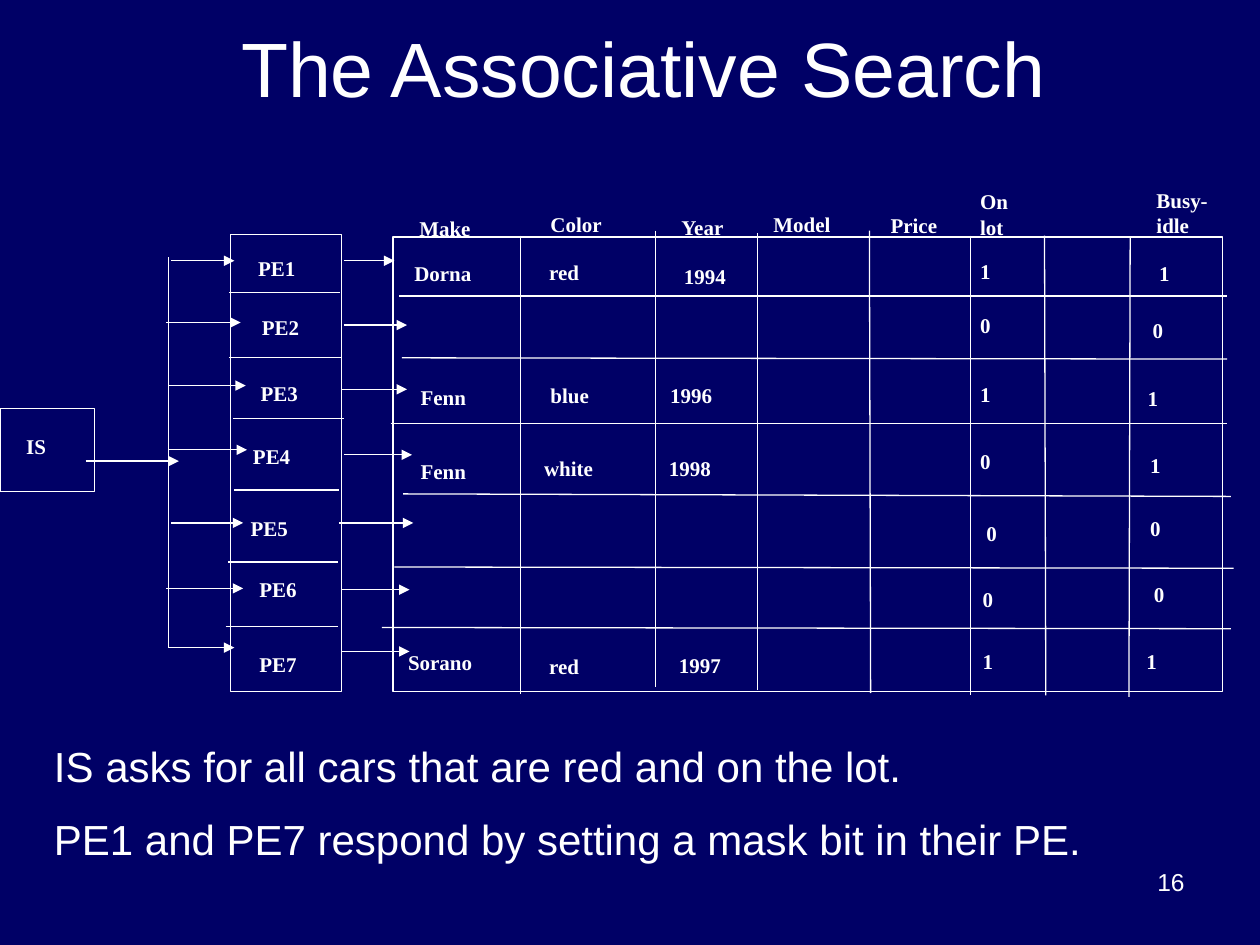
"""Build a slide on associative search across processing elements."""
from lxml import etree
from pptx import Presentation
from pptx import util as u
from pptx.dml.color import RGBColor
from pptx.enum import shapes, text
from pptx.oxml.ns import qn

NAVY = RGBColor(0x00, 0x00, 0x66)
WHITE = RGBColor(0xFF, 0xFF, 0xFF)

deck = Presentation()
deck.slide_width, deck.slide_height = u.Inches(10), u.Inches(7.5)
CELL = deck.slide_width / 10
page = deck.slides.add_slide(deck.slide_layouts[5])
page.background.fill.solid()
page.background.fill.fore_color.rgb = NAVY


def add_line(start, end, arrow=False):
    points = [round(value * CELL) for value in (*start, *end)]
    line = page.shapes.add_connector(shapes.MSO_CONNECTOR.STRAIGHT, *points)
    line.line.color.rgb = WHITE
    line.line.width = u.Pt(0.75)
    properties = line.element.spPr
    if arrow:
        etree.SubElement(properties.find(qn("a:ln")), qn("a:tailEnd"), type="triangle")
    etree.SubElement(properties, qn("a:effectLst"))


def add_text(words, left, top, width, height=0.23, size=12, name="Times New Roman", bold=True):
    box = page.shapes.add_textbox(*[round(value * CELL) for value in (left, top, width, height)])
    box.text_frame.word_wrap = True
    box.text_frame.text = words
    for para in box.text_frame.paragraphs:
        para.font.size, para.font.name, para.font.bold = u.Pt(size), name, bold
        para.font.color.rgb = WHITE
    return box


title = page.shapes.title
title.left, title.top, title.width, title.height = [
    round(value * CELL) for value in (0.86, 0.31, 8.5, 0.44)]
title.text_frame.text = "The Associative Search"
title.text_frame.vertical_anchor = text.MSO_ANCHOR.MIDDLE
title.text_frame.auto_size = text.MSO_AUTO_SIZE.NONE
heading = title.text_frame.paragraphs[0]
heading.alignment = text.PP_ALIGN.CENTER
heading.font.size, heading.font.name = u.Pt(44), "Arial"
heading.font.color.rgb = WHITE

frames = [(0, 3.24, 0.75, 0.66), (1.83, 1.86, 0.88, 3.63), (3.12, 1.88, 6.58, 3.61)]
for frame in frames:
    box = page.shapes.add_shape(
        shapes.MSO_SHAPE.RECTANGLE, *[round(value * CELL) for value in frame])
    box.shadow.inherit = False
    box.fill.background()
    box.line.color.rgb = WHITE
    box.line.width = u.Pt(0.75)

element_rules = [(1.82, 2.7, 2.32), (1.82, 2.71, 2.84), (1.85, 2.73, 3.32),
                 (1.86, 2.69, 3.89), (1.81, 2.68, 4.46), (1.79, 2.68, 4.97)]
for left, right, y in element_rules:
    add_line((left, y), (right, y))

record_rules = [(3.17, 2.35, 9.74, 2.35), (3.19, 2.84, 9.74, 2.85), (3.1, 3.36, 9.74, 3.36),
                (3.2, 3.92, 9.77, 3.94), (3.13, 4.5, 9.79, 4.51), (3.03, 4.98, 9.77, 4.99)]
for left, start_y, right, end_y in record_rules:
    add_line((left, start_y), (right, end_y))

column_rules = [(4.13, 1.87, 4.13, 5.51), (5.2, 1.83, 5.2, 5.45), (6.01, 1.85, 6.01, 5.48),
                (6.9, 1.83, 6.91, 5.5), (7.7, 1.87, 7.7, 5.52), (8.29, 1.87, 8.3, 5.52),
                (8.97, 1.88, 8.96, 5.53)]
for top_x, top, bottom_x, bottom in column_rules:
    add_line((top_x, top), (bottom_x, bottom))

add_line((1.34, 2.04), (1.34, 5.14))
add_line((0.68, 3.66), (1.42, 3.66), arrow=True)

bus_arrows = [(1.36, 1.86, 2.07), (1.32, 1.91, 2.56), (1.34, 1.95, 3.06), (1.34, 1.96, 3.57),
              (1.36, 1.93, 4.15), (1.32, 1.93, 4.67), (1.34, 1.86, 5.14)]
memory_arrows = [(2.73, 3.13, 2.07), (2.73, 3.23, 2.58), (2.71, 3.23, 3.09), (2.73, 3.27, 3.61),
                 (2.69, 3.28, 4.15), (2.71, 3.25, 4.68), (2.71, 3.25, 5.17)]
for left, right, y in bus_arrows + memory_arrows:
    add_line((left, y), (right, y), arrow=True)

elements = [(1.95, 1.98), (1.98, 2.45), (1.97, 2.97), (1.91, 3.47),
            (1.89, 4.04), (1.96, 4.53), (1.96, 5.12)]
for number, (left, top) in enumerate(elements, start=1):
    add_text(f"PE{number}", left, top, 0.66)
add_text("IS", 0.11, 3.39, 0.48)

columns = [
    (0.9, [("Make", 3.23, 1.66), ("Dorna", 3.19, 2.02), ("Fenn", 3.24, 3),
           ("Fenn", 3.24, 3.59), ("Sorano", 3.14, 5.11)]),
    (0.75, [("Color", 4.27, 1.63), ("red", 4.26, 2.01), ("blue", 4.27, 2.99),
            ("white", 4.22, 3.57), ("red", 4.26, 5.14)]),
    (0.75, [("Year", 5.31, 1.65), ("1994", 5.33, 2.04), ("1996", 5.22, 2.99),
            ("1998", 5.21, 3.57), ("1997", 5.29, 5.13)]),
    (1.1, [("Model", 6.04, 1.63)]),
    (0.96, [("Price", 6.97, 1.64)]),
    (0.5, [("On\nlot", 7.68, 1.45), ("1", 7.68, 2), ("0", 7.68, 2.43), ("1", 7.68, 2.98),
           ("0", 7.68, 3.51), ("0", 7.73, 4.08), ("0", 7.7, 4.61), ("1", 7.7, 5.1)]),
    (0.92, [("Busy-\nidle", 9.08, 1.44)]),
    (0.45, [("1", 9.1, 2.02), ("0", 9.05, 2.47), ("1", 9.01, 3.01), ("1", 9.03, 3.54),
            ("0", 9.03, 4.04), ("0", 9.06, 4.57), ("1", 9, 5.1)]),
]
for width, entries in columns:
    for words, left, top in entries:
        add_text(words, left, top, width, 0.38 if "\n" in words else 0.23)

summary = add_text(
    "IS asks for all cars that are red and on the lot.\n"
    "PE1 and PE7 respond by setting a mask bit in their PE.",
    0.33, 5.83, 9.25, 1.1, size=24, name="Arial", bold=False)
summary.text_frame.paragraphs[1].space_before = u.Pt(13)

page_number = add_text("16", 7.17, 6.83, 2.33, 0.52, size=14, name="Arial", bold=False)
page_number.text_frame.paragraphs[0].alignment = text.PP_ALIGN.RIGHT

deck.save("out.pptx")
